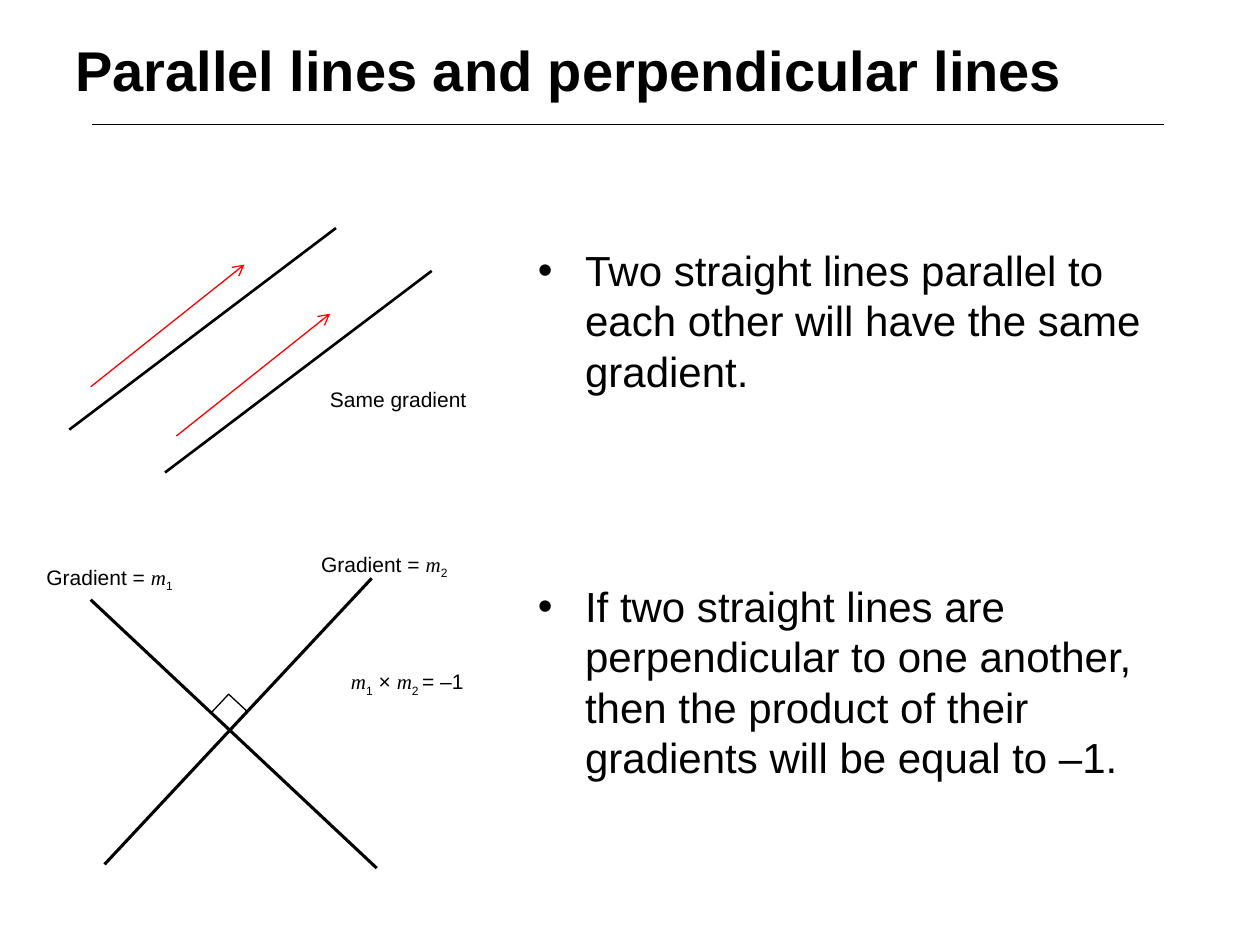
"""Build a slide on the gradients of parallel and perpendicular lines."""
import pptx
import pptx.util
import pptx.dml.color
import pptx.enum.shapes
import pptx.enum.text
import pptx.oxml.ns
import pptx.oxml.xmlchemy

Pt = pptx.util.Pt
qn = pptx.oxml.ns.qn
OxmlElement = pptx.oxml.xmlchemy.OxmlElement
BLACK = pptx.dml.color.RGBColor(0x00, 0x00, 0x00)
RED = pptx.dml.color.RGBColor(0xFF, 0x00, 0x00)

presentation = pptx.Presentation()
presentation.slide_width, presentation.slide_height = Pt(720), Pt(540)
slide = presentation.slides.add_slide(presentation.slide_layouts[6])


def add_line(start, end, color, weight, arrow=False):
    line = slide.shapes.add_connector(
        pptx.enum.shapes.MSO_CONNECTOR.STRAIGHT, *map(Pt, start + end))
    line.line.color.rgb = color
    line.line.width = Pt(weight)
    properties = line._element.spPr
    if arrow:
        tail = OxmlElement("a:tailEnd")
        tail.set("type", "arrow")
        properties.find(qn("a:ln")).append(tail)
    properties.append(OxmlElement("a:effectLst"))


def add_text(left, top, width, height, paragraphs, size, bold=False):
    frame = slide.shapes.add_textbox(*map(Pt, (left, top, width, height))).text_frame
    frame.word_wrap = True
    for index, parts in enumerate(paragraphs):
        paragraph = frame.add_paragraph() if index else frame.paragraphs[0]
        for text, style in parts:
            run = paragraph.add_run()
            run.text = text
            run.font.size = Pt(size)
            run.font.bold = bold
            run.font.color.rgb = BLACK
            run.font.name = "Times New Roman" if style == "variable" else "Arial"
            run.font.italic = style == "variable"
            if style == "subscript":
                run._r.get_or_add_rPr().set("baseline", "-25000")
    return frame


add_line((52.56, 71.28), (665.28, 71.28), BLACK, 0.25)
add_text(36, 16.56, 648, 50, [[("Parallel lines and perpendicular lines", "plain")]], 32, bold=True)

rules = [
    "Two straight lines parallel to each other will have the same gradient.",
    "If two straight lines are perpendicular to one another, "
    "then the product of their gradients will be equal to –1.",
]
rules_frame = add_text(300.24, 136.1, 395.28, 298, [[(rule, "plain")] for rule in rules], 24)
rules_frame.paragraphs[1].space_before = Pt(105.6)
for paragraph in rules_frame.paragraphs:
    paragraph.line_spacing = Pt(28.8)
    indent = paragraph._p.get_or_add_pPr()
    indent.set("marL", str(int(Pt(27))))
    indent.set("indent", str(int(Pt(-27))))
    bullet_font = OxmlElement("a:buFont")
    bullet_font.set("typeface", "Arial")
    bullet = OxmlElement("a:buChar")
    bullet.set("char", "•")
    indent.extend([bullet_font, bullet])

parallel_starts = [(39.6, 245.52), (94.32, 270)]
for x, y in parallel_starts:
    add_line((x, y), (x + 152.4, y - 115.2), BLACK, 1.5)
direction_starts = [(51.84, 221.04), (100.8, 249.12)]
for x, y in direction_starts:
    add_line((x, y), (x + 87.84, y - 69.84), RED, 0.75, arrow=True)

add_line((59.76, 493.92), (212.4, 330.48), BLACK, 1.75)
add_line((51.84, 342.72), (215.28, 496.08), BLACK, 1.75)
right_angle = slide.shapes.add_shape(
    pptx.enum.shapes.MSO_SHAPE.RECTANGLE, Pt(123.84), Pt(399.6), Pt(14.4), Pt(14.4))
right_angle.rotation = 313.1
right_angle.shadow.inherit = False
right_angle.fill.background()
right_angle.line.color.rgb = BLACK
right_angle.line.width = Pt(0.75)

m, one, two = ("m", "variable"), ("1", "subscript"), ("2", "subscript")
gradient = ("Gradient = ", "plain")
labels = [
    (181.44, 217.44, [("Same gradient", "plain")]),
    (176.4, 311.76, [gradient, m, two]),
    (19.44, 318.96, [gradient, m, one]),
    (193.4, 378.72, [m, one, (" × ", "plain"), m, ("2 ", "subscript"), ("= –1", "plain")]),
]
for left, top, parts in labels:
    label_frame = add_text(left, top, 108.72, 21.6, [parts], 12)
    label_frame.auto_size = pptx.enum.text.MSO_AUTO_SIZE.SHAPE_TO_FIT_TEXT

presentation.save("out.pptx")
